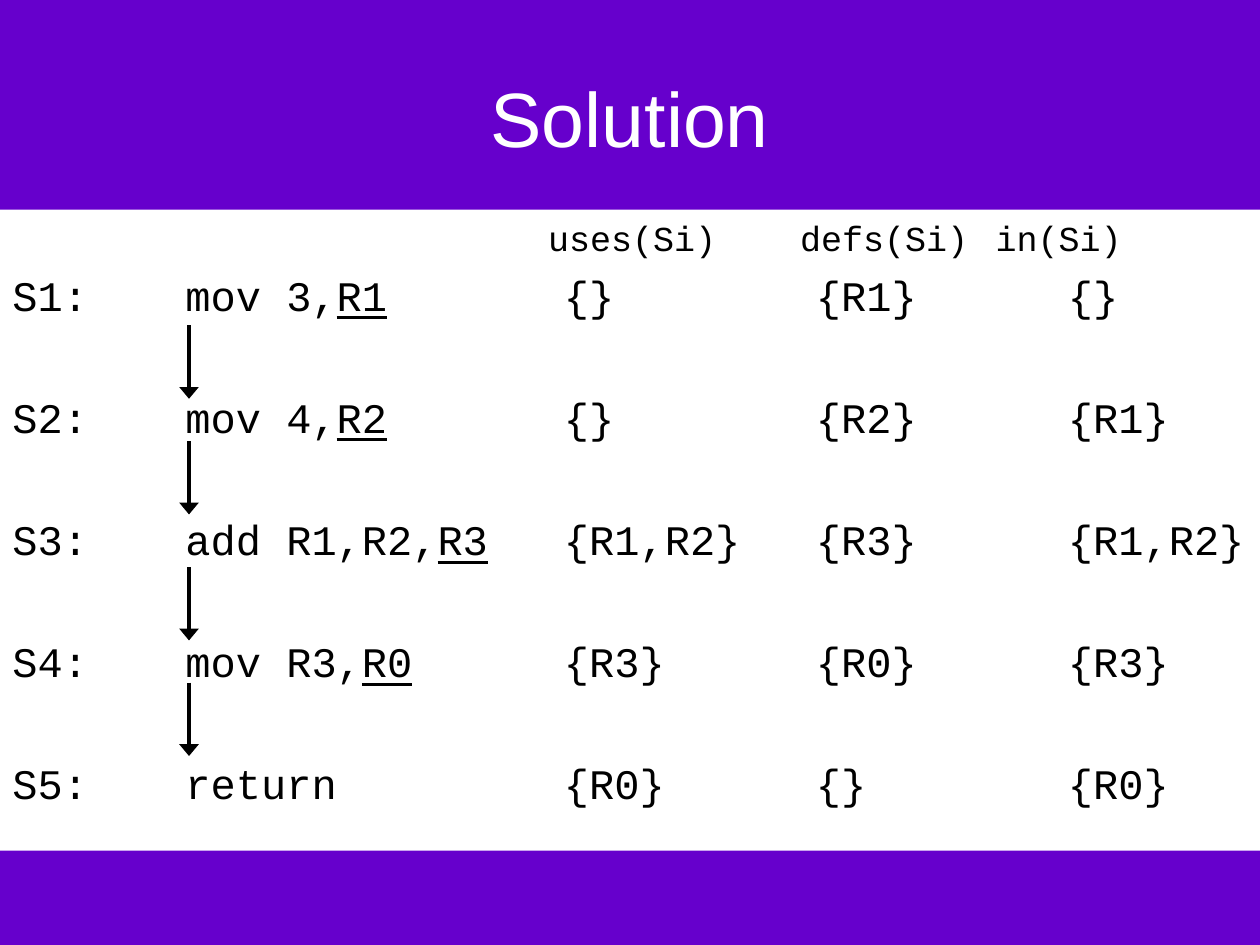
from dataclasses import dataclass

from lxml.etree import SubElement
from pptx import Presentation
from pptx.dml.color import RGBColor
from pptx.enum.shapes import MSO_CONNECTOR, MSO_SHAPE
from pptx.enum.text import MSO_ANCHOR, PP_ALIGN
from pptx.oxml.ns import qn
from pptx.util import Cm, Pt


@dataclass(frozen=True)
class Theme:
    purple: RGBColor = RGBColor(0x66, 0x00, 0xCC)
    white: RGBColor = RGBColor(0xFF, 0xFF, 0xFF)
    black: RGBColor = RGBColor(0x00, 0x00, 0x00)
    title_font: str = "Arial"
    code_font: str = "Courier New"
    title_size: Pt = Pt(44)
    header_size: Pt = Pt(20)
    code_size: Pt = Pt(24)


theme = Theme()


def add_run(paragraph, text, font_name, size, color):
    run = paragraph.add_run()
    run.text = text
    run.font.name = font_name
    run.font.size = size
    run.font.color.rgb = color
    return run


def set_tabs(paragraph, positions):
    """Give the paragraph left tab stops at these positions in centimetres."""
    tab_list = SubElement(paragraph._p.get_or_add_pPr(), qn("a:tabLst"))
    for position in positions:
        SubElement(tab_list, qn("a:tab"), pos=str(Cm(position)), algn="l")


presentation = Presentation()
presentation.slide_width = Cm(25.4)
presentation.slide_height = Cm(19.05)
slide = presentation.slides.add_slide(presentation.slide_layouts[6])

# Bands at the bottom and the top
for top, height in [(17.15, 1.9), (0, 4.23)]:
    band = slide.shapes.add_shape(
        MSO_SHAPE.RECTANGLE, 0, Cm(top), presentation.slide_width, Cm(height))
    band.shadow.inherit = False
    band.fill.solid()
    band.fill.fore_color.rgb = theme.purple
    band.line.fill.background()

# Title
title = slide.shapes.add_textbox(Cm(1.27), Cm(0.76), Cm(22.86), Cm(3.18))
title_frame = title.text_frame
title_frame.word_wrap = True
title_frame.vertical_anchor = MSO_ANCHOR.MIDDLE
title_paragraph = title_frame.paragraphs[0]
title_paragraph.alignment = PP_ALIGN.CENTER
add_run(title_paragraph, "Solution", theme.title_font, theme.title_size, theme.white)

# Liveness listing: a header line, then one tabbed line per statement
listing = slide.shapes.add_textbox(0, Cm(4.23), Cm(25.4), Cm(12.57))
listing_frame = listing.text_frame
listing_frame.word_wrap = True
listing_frame.margin_top = Cm(0.14)

header = listing_frame.paragraphs[0]
set_tabs(header, [10.8, 15.88, 19.82])
add_run(header, "\tuses(Si)\tdefs(Si)\tin(Si)",
        theme.code_font, theme.header_size, theme.black)

# label, instruction, defined register, uses, defs, in
statements = [
    ("S1", "mov 3,", "R1", "{}", "{R1}", "{}"),
    ("S2", "mov 4,", "R2", "{}", "{R2}", "{R1}"),
    ("S3", "add R1,R2,", "R3", "{R1,R2}", "{R3}", "{R1,R2}"),
    ("S4", "mov R3,", "R0", "{R3}", "{R0}", "{R3}"),
    ("S5", "return", "", "{R0}", "{}", "{R0}"),
]
set_tab_stops = [3.49] + [11.12 + 5.08 * column for column in range(3)]
for index, (label, instruction, target, *register_sets) in enumerate(statements):
    paragraph = listing_frame.add_paragraph()
    set_tabs(paragraph, set_tab_stops)
    paragraph.space_before = Pt(41) if index else Pt(6)
    pieces = [(f"{label}:\t{instruction}", False), (target, True),
              ("\t" + "\t".join(register_sets), False)]
    for text, underlined in pieces:
        if text:
            run = add_run(paragraph, text, theme.code_font, theme.code_size, theme.black)
            if underlined:
                run.font.underline = True

# Control flow arrows between the statements
for top in [6.56, 8.89, 11.43, 13.76]:
    arrow = slide.shapes.add_connector(
        MSO_CONNECTOR.STRAIGHT, Cm(3.81), Cm(top), Cm(3.81), Cm(top + 1.48))
    arrow.line.color.rgb = theme.black
    arrow.line.width = Pt(2.25)
    SubElement(arrow.line._get_or_add_ln(), qn("a:tailEnd"), type="triangle", w="lg")
    SubElement(arrow._element.spPr, qn("a:effectLst"))

presentation.save("out.pptx")
